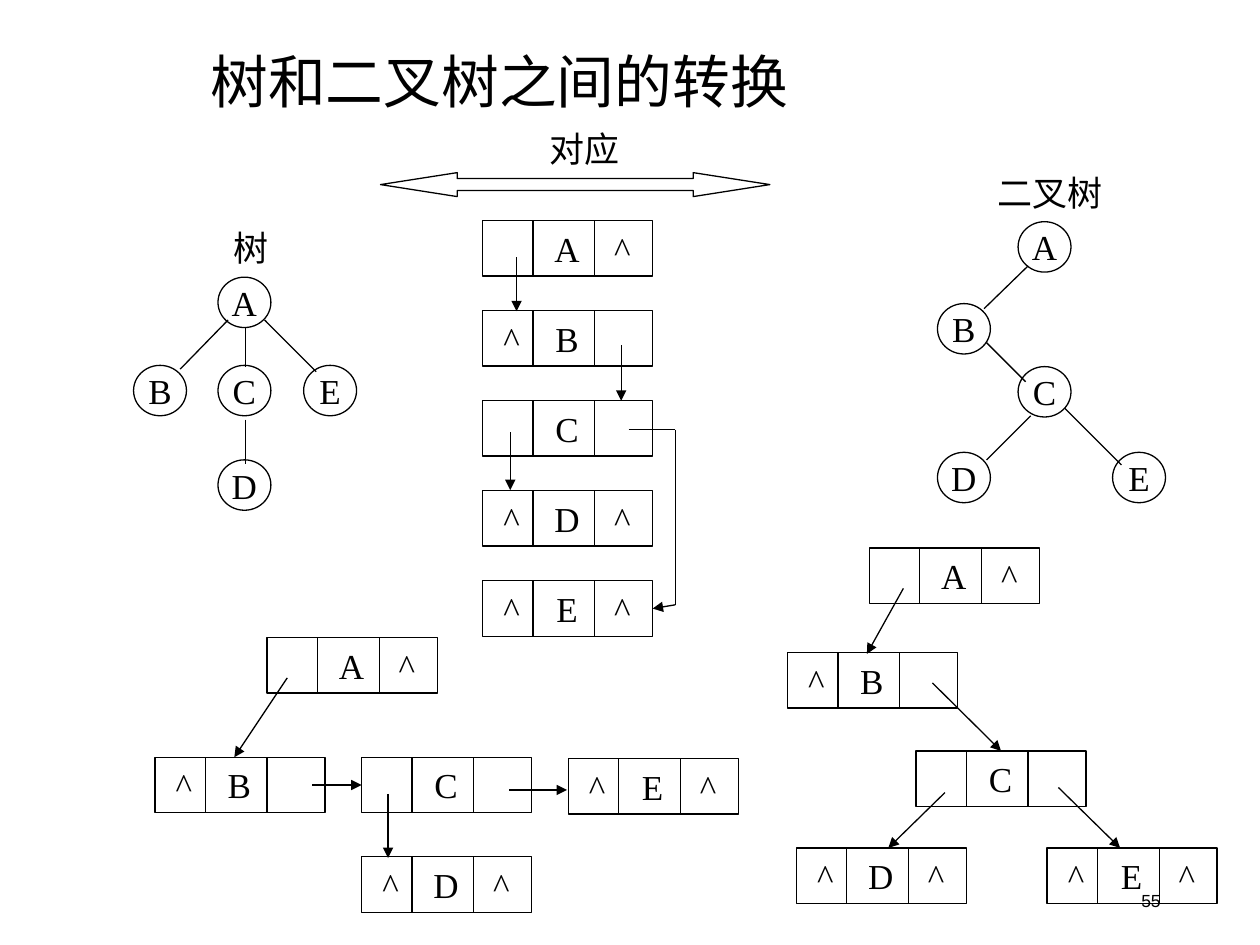
from typing import NamedTuple, Optional

from lxml import etree
from pptx import Presentation
from pptx.dml.color import RGBColor
from pptx.enum.shapes import MSO_CONNECTOR, MSO_SHAPE
from pptx.enum.text import MSO_ANCHOR, MSO_AUTO_SIZE, PP_ALIGN
from pptx.oxml.ns import qn
from pptx.shapes.shapetree import GroupShapes
from pptx.util import Inches, Pt

BLACK = RGBColor(0, 0, 0)
SERIF, SANS, CJK = "Times New Roman", "Arial", "Noto Sans CJK SC"
STRAIGHT = MSO_CONNECTOR.STRAIGHT
OVAL, RECT, DOUBLE_ARROW = (MSO_SHAPE.OVAL, MSO_SHAPE.RECTANGLE,
                            MSO_SHAPE.LEFT_RIGHT_ARROW)
MIDDLE, FIT = MSO_ANCHOR.MIDDLE, MSO_AUTO_SIZE.SHAPE_TO_FIT_TEXT
LEFT, CENTER, RIGHT = PP_ALIGN.LEFT, PP_ALIGN.CENTER, PP_ALIGN.RIGHT
TOP_SIDE, LEFT_SIDE, RIGHT_SIDE = 0, 1, 3

CIRCLE_W, CIRCLE_H = 0.42, 0.4
RECORD_W, RECORD_H = 1.35, 0.44
DIVIDERS = (0.4, 0.89)
FIELD_CENTERS = (0.23, 0.67, 1.11)
# Left and right pointer fields of each linked record
POINTERS = {"A": ("", "^"), "B": ("^", ""), "C": ("", ""),
            "D": ("^", "^"), "E": ("^", "^")}


class Node(NamedTuple):
    name: str
    x: float
    y: float


class Link(NamedTuple):
    x1: float
    y1: float
    x2: float
    y2: float
    arrow: bool = True
    target: Optional[str] = None
    side: int = TOP_SIDE


class Caption(NamedTuple):
    text: str
    x: float
    y: float
    w: float


class Tree(NamedTuple):
    caption: Caption
    nodes: list[Node]
    edges: list[tuple[float, float, float, float]]


class LinkedList(NamedTuple):
    nodes: list[Node]
    links: list[Link]


TREES = [
    Tree(Caption("树", 1.75, 1.75, 0.48),
         [Node("A", 1.73, 2.2), Node("C", 1.73, 2.9), Node("B", 1.06, 2.9),
          Node("E", 2.41, 2.9), Node("D", 1.73, 3.65)],
         [(1.95, 2.6, 1.95, 2.91), (1.95, 3.33, 1.95, 3.68),
          (1.81, 2.54, 1.43, 2.93), (2.1, 2.54, 2.51, 2.95)]),
    Tree(Caption("二叉树", 7.82, 1.31, 1.03),
         [Node("A", 8.08, 1.76), Node("B", 7.44, 2.41), Node("C", 8.08, 2.91),
          Node("D", 7.44, 3.59), Node("E", 8.83, 3.59)],
         [(8.16, 2.11, 7.81, 2.45), (7.83, 2.72, 8.14, 3.03),
          (8.45, 3.24, 8.9, 3.69), (8.18, 3.3, 7.83, 3.65)]),
]
LISTS = [
    # Shared storage, stacked at an equal pitch
    LinkedList([Node(name, 3.83, 1.75 + 0.715 * i)
                for i, name in enumerate("ABCDE")],
               [Link(4.1, 2.04, 4.1, 2.47), Link(4.93, 2.74, 4.93, 3.18),
                Link(4.05, 3.43, 4.05, 3.89),
                Link(4.99, 3.41, 5.36, 3.41, False),
                Link(5.36, 3.41, 5.36, 4.8, False),
                Link(5.36, 4.8, 5.18, 4.82, True, "E", RIGHT_SIDE)]),
    # Read as a tree
    LinkedList([Node("A", 2.12, 5.06), Node("B", 1.23, 6.01),
                Node("C", 2.87, 6.01), Node("D", 2.87, 6.8),
                Node("E", 4.51, 6.02)],
               [Link(2.28, 5.38, 1.86, 6.01),
                Link(2.48, 6.23, 2.86, 6.23, True, "C", LEFT_SIDE),
                Link(4.04, 6.27, 4.5, 6.27), Link(3.08, 6.3, 3.08, 6.81)]),
    # Read as a binary tree
    LinkedList([Node("A", 6.9, 4.35), Node("B", 6.25, 5.18),
                Node("C", 7.27, 5.96), Node("D", 6.32, 6.73),
                Node("E", 8.31, 6.73)],
               [Link(7.17, 4.67, 6.88, 5.19),
                Link(7.4, 5.42, 7.92, 5.96, True, "C", TOP_SIDE),
                Link(7.5, 6.29, 7.05, 6.73), Link(8.4, 6.25, 8.89, 6.73)]),
]


def write(tf, text: str, size: float = 20, font: str = SERIF,
          align=CENTER):
    tf.text = text
    tf.vertical_anchor = MIDDLE
    p = tf.paragraphs[0]
    p.alignment = align
    r = p.runs[0]
    r.font.size, r.font.name = Pt(size), font
    r.font.color.rgb = BLACK
    return p


def add_outline(shapes: GroupShapes, kind, x: float, y: float, w: float,
                h: float):
    sp = shapes.add_shape(kind, Inches(x), Inches(y), Inches(w), Inches(h))
    sp.shadow.inherit = False
    sp.fill.background()
    sp.line.color.rgb, sp.line.width = BLACK, Pt(0.75)
    return sp


def add_line(shapes: GroupShapes, x1: float, y1: float, x2: float, y2: float,
             arrow: bool = False):
    cxn = shapes.add_connector(STRAIGHT, Inches(x1), Inches(y1),
                               Inches(x2), Inches(y2))
    cxn.line.color.rgb, cxn.line.width = BLACK, Pt(0.75)
    if arrow:
        etree.SubElement(cxn.line._get_or_add_ln(), qn("a:tailEnd"),
                         type="triangle")
    etree.SubElement(cxn._element.spPr, qn("a:effectLst"))
    return cxn


def add_caption(shapes: GroupShapes, c: Caption) -> None:
    box = shapes.add_textbox(Inches(c.x), Inches(c.y), Inches(c.w),
                             Inches(0.43))
    tf = box.text_frame
    tf.word_wrap = False
    tf.auto_size = FIT
    # Narrow insets keep the caption on one line
    tf.margin_left = tf.margin_right = Inches(0.03)
    write(tf, c.text)


def add_circle(shapes: GroupShapes, n: Node) -> None:
    sp = add_outline(shapes, OVAL, n.x, n.y, CIRCLE_W, CIRCLE_H)
    sp.text_frame.word_wrap = False
    write(sp.text_frame, n.name)


def add_record(shapes: GroupShapes, n: Node):
    sp = add_outline(shapes, RECT, n.x, n.y, RECORD_W, RECORD_H)
    tf = sp.text_frame
    tf.word_wrap = True
    tf.margin_left = tf.margin_right = 0
    left, right = POINTERS[n.name]
    text = f"\t{left}\t{n.name}" + (f"\t{right}" if right else "")
    p = write(tf, text, align=LEFT)
    # One centred tab stop per field
    tabs = etree.SubElement(p._p.get_or_add_pPr(), qn("a:tabLst"))
    for center in FIELD_CENTERS:
        etree.SubElement(tabs, qn("a:tab"), pos=str(Inches(center)),
                         algn="ctr")
    for dx in DIVIDERS:
        add_line(shapes, n.x + dx, n.y, n.x + dx, n.y + RECORD_H)
    return sp


def add_tree(shapes: GroupShapes, tree: Tree) -> None:
    for node in tree.nodes:
        add_circle(shapes, node)
    for edge in tree.edges:
        add_line(shapes, *edge)
    add_caption(shapes, tree.caption)


def add_list(shapes: GroupShapes, linked: LinkedList) -> None:
    records = {n.name: add_record(shapes, n) for n in linked.nodes}
    for k in linked.links:
        cxn = add_line(shapes, k.x1, k.y1, k.x2, k.y2, k.arrow)
        if k.target:
            cxn.end_connect(records[k.target], k.side)


def main() -> None:
    prs = Presentation()
    prs.slide_width, prs.slide_height = Inches(10), Inches(7.5)
    s = prs.slides.add_slide(prs.slide_layouts[5])
    # Slide number
    box = s.shapes.add_textbox(Inches(7.06), Inches(6.95), Inches(2.25),
                               Inches(0.4))
    box.text_frame.word_wrap = True
    write(box.text_frame, "55", 10, SANS, RIGHT)
    # Title
    title = s.shapes.title
    title.left, title.top = Inches(1.57), Inches(0.35)
    title.width, title.height = Inches(8.43), Inches(0.65)
    p = write(title.text_frame, "树和二叉树之间的转换", 33, CJK, LEFT)
    p.line_spacing = 0.9
    etree.SubElement(p.runs[0]._r.get_or_add_rPr(), qn("a:ea"), typeface=CJK)
    # Trees and their linked storage
    for tree in TREES:
        add_tree(s.shapes.add_group_shape().shapes, tree)
    for linked in LISTS:
        add_list(s.shapes.add_group_shape().shapes, linked)
    # Correspondence arrow
    shapes = s.shapes.add_group_shape().shapes
    arrow = add_outline(shapes, DOUBLE_ARROW, 3.02, 1.37, 3.09, 0.19)
    arrow.adjustments[0], arrow.adjustments[1] = 0.5, 3.2
    add_caption(shapes, Caption("对应", 4.26, 0.96, 0.76))
    prs.save("out.pptx")


if __name__ == "__main__":
    main()
